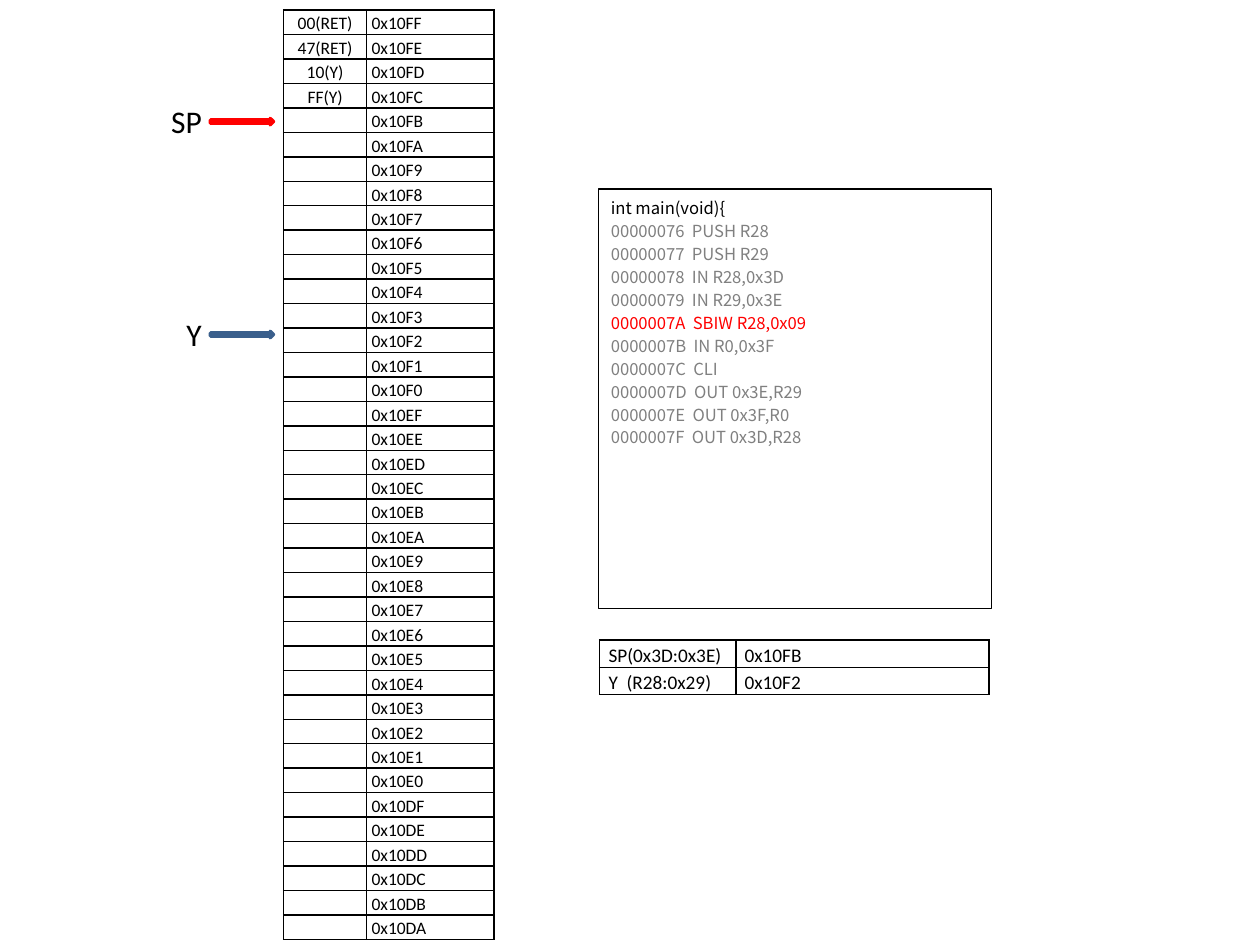
import pptx
import pptx.dml.color
import pptx.enum.shapes
import pptx.enum.text
import pptx.util
from lxml import etree
from pptx.oxml.ns import qn

Inches = pptx.util.Inches
Pt = pptx.util.Pt
RGB = pptx.dml.color.RGBColor.from_string
ALIGN = pptx.enum.text.PP_ALIGN
SHAPE = pptx.enum.shapes.MSO_SHAPE

THEME = {
    "font": "Calibri", "mono": "Noto Sans CJK SC",
    "ink": RGB("000000"), "paper": RGB("FFFFFF"), "dim": RGB("808080"),
    "hot": RGB("FF0000"), "blue": RGB("4F81BD"), "edge": RGB("3A5F8C"),
    "cell": Pt(10), "reg": Pt(11), "code": Pt(9.5), "mark": Pt(18),
}


def style(para, size, color=THEME["ink"], face=THEME["font"]):
    para.font.size = size
    para.font.name = face
    para.font.color.rgb = color


def grid(rows, left, top, widths, height, size, pad):
    """Add a plain table with thin black borders and return it."""
    frame = slide.shapes.add_table(
        len(rows), len(widths), Inches(left), Inches(top),
        Inches(sum(widths)), Inches(height * len(rows)))
    table = frame.table
    table.first_row = table.horz_banding = False
    for col, width in zip(table.columns, widths):
        col.width = Inches(width)
    for line, texts in zip(table.rows, rows):
        line.height = Inches(height)
        for cell, text in zip(line.cells, texts):
            cell.margin_left = cell.margin_right = Inches(pad)
            cell.margin_top = cell.margin_bottom = 0
            cell.fill.background()
            para = cell.text_frame.paragraphs[0]
            para.line_spacing = 1.15
            style(para, size)
            if text:
                para.text = text
            else:
                # An empty cell takes its height from the end mark.
                para._p.get_or_add_endParaRPr().set("sz", str(int(size.pt * 100)))
            props = cell._tc.get_or_add_tcPr()
            for i, side in enumerate(("lnL", "lnR", "lnT", "lnB")):
                edge = etree.Element(qn("a:" + side), w=str(Pt(1)))
                fill = etree.SubElement(edge, qn("a:solidFill"))
                etree.SubElement(fill, qn("a:srgbClr"), val=str(THEME["ink"]))
                props.insert(i, edge)
    return table


deck = pptx.Presentation()
deck.slide_width = Inches(10)
deck.slide_height = Inches(7.5)
slide = deck.slides.add_slide(deck.slide_layouts[6])

# Stack memory, from the highest address down
held = {0x10FF: "00(RET)", 0x10FE: "47(RET)", 0x10FD: "10(Y)", 0x10FC: "FF(Y)"}
stack = [(held.get(addr, ""), f"0x{addr:X}")
         for addr in range(0x10FF, 0x10D9, -1)]
table = grid(stack, 2.25, 0.08, (0.66, 1.01), 0.19, THEME["cell"], 0.04)
for line in table.rows:
    line.cells[0].text_frame.paragraphs[0].alignment = ALIGN.CENTER

# Register values
regs = [("SP(0x3D:0x3E)", "0x10FB"), ("Y  (R28:0x29)", "0x10F2")]
grid(regs, 4.76, 5.08, (1.08, 2.01), 0.21, THEME["reg"], 0.07)

# Program listing with the current instruction in red
code = [
    "int main(void){",
    "00000076  PUSH R28",
    "00000077  PUSH R29",
    "00000078  IN R28,0x3D",
    "00000079  IN R29,0x3E",
    "0000007A  SBIW R28,0x09",
    "0000007B  IN R0,0x3F",
    "0000007C  CLI",
    "0000007D  OUT 0x3E,R29",
    "0000007E  OUT 0x3F,R0",
    "0000007F  OUT 0x3D,R28",
]
tints = {0: THEME["ink"], 5: THEME["hot"]}
box = slide.shapes.add_shape(SHAPE.RECTANGLE, Inches(4.75), Inches(1.5),
                             Inches(3.12), Inches(3.33))
box.shadow.inherit = False
box.fill.solid()
box.fill.fore_color.rgb = THEME["paper"]
box.line.color.rgb = THEME["ink"]
box.line.width = Pt(0.75)
body = box.text_frame
body.vertical_anchor = pptx.enum.text.MSO_ANCHOR.TOP
body.text = "\n".join(code)
for i, para in enumerate(body.paragraphs):
    para.alignment = ALIGN.LEFT
    para.line_spacing = Pt(13.1)
    style(para, THEME["code"], tints.get(i, THEME["dim"]), THEME["mono"])

# Pointers into the stack
for name, left, top, width, color in (
        ("Y", 1.38, 2.45, 0.25, THEME["edge"]),
        ("SP", 1.26, 0.76, 0.45, THEME["hot"])):
    arrow = slide.shapes.add_shape(SHAPE.RIGHT_ARROW, Inches(1.67),
                                   Inches(top + 0.18), Inches(0.5), Inches(0.05))
    arrow.shadow.inherit = False
    arrow.fill.solid()
    arrow.fill.fore_color.rgb = THEME["blue"]
    arrow.line.color.rgb = color
    arrow.line.width = Pt(2)
    label = slide.shapes.add_textbox(Inches(left), Inches(top),
                                     Inches(width), Inches(0.4))
    label.text_frame.text = name
    style(label.text_frame.paragraphs[0], THEME["mark"])

deck.save("out.pptx")
